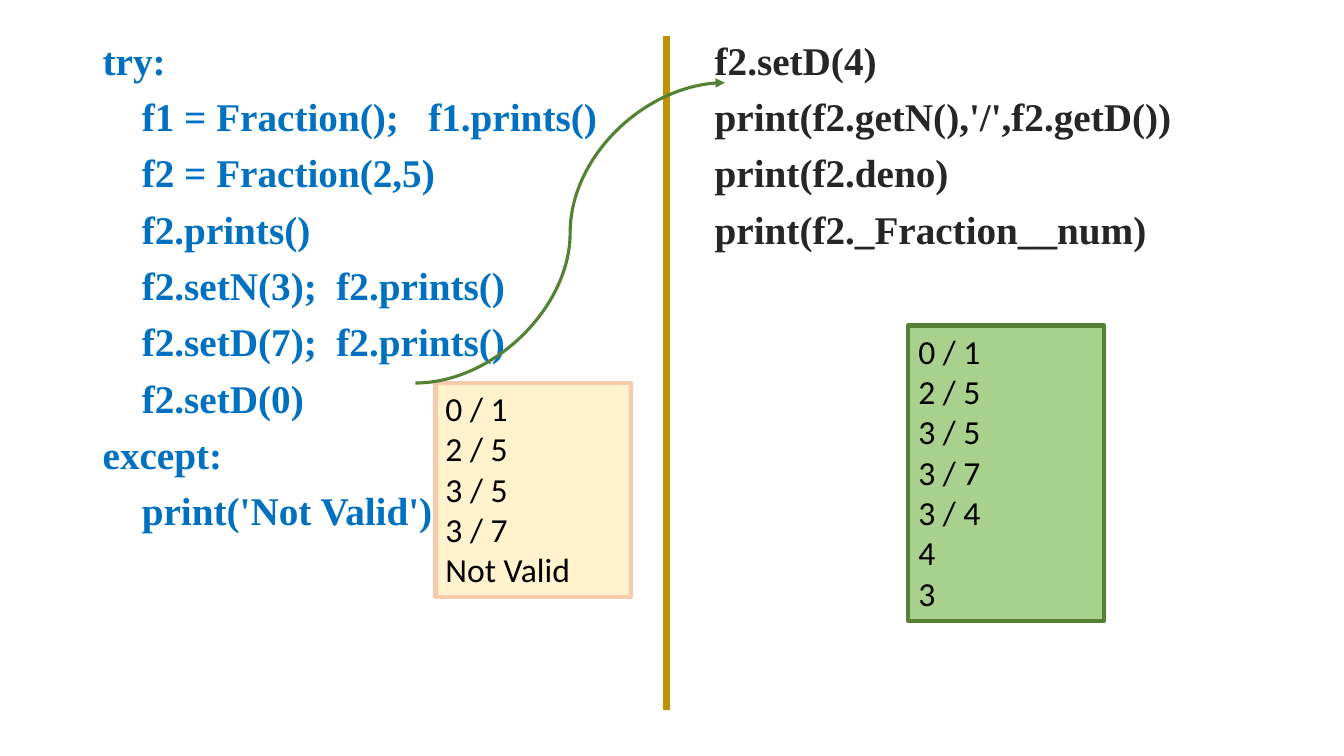
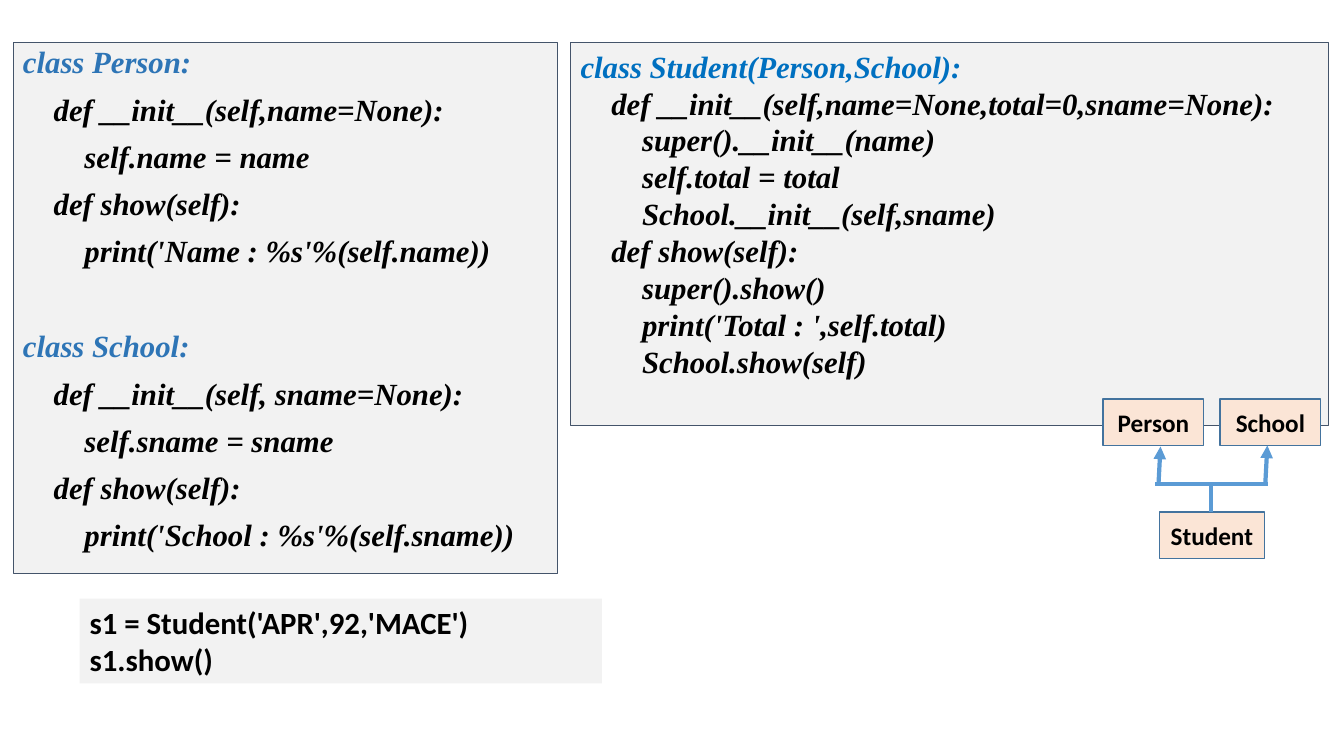
import pptx
import pptx.util
import pptx.dml.color
import pptx.enum.shapes
import pptx.enum.text
import pptx.oxml.ns
import lxml.etree

PX = 9144  # 100 px to the inch
SERIF, SANS = "Times New Roman", "Calibri"
HUES = {
    "blue": "0070C0", "steel": "2E75B6", "black": "000000", "dark": "262626",
    "cream": "FFF2CC", "peach": "F8CBAD", "gold": "BF9000", "green": "548235",
    "leaf": "A9D18E", "pale": "F2F2F2", "slate": "44546A", "skin": "FBE5D6",
    "navy": "43739E", "sky": "5B9BD5",
}
KINDS = pptx.enum.shapes.MSO_CONNECTOR
ALIGN = pptx.enum.text.PP_ALIGN
ANCHOR = pptx.enum.text.MSO_ANCHOR

TRY = """try:
    f1 = Fraction();   f1.prints()
    f2 = Fraction(2,5)
    f2.prints()
    f2.setN(3);  f2.prints()
    f2.setD(7);  f2.prints()
    f2.setD(0)
except:
    print('Not Valid')"""
CALLS = """f2.setD(4)
print(f2.getN(),'/',f2.getD())
print(f2.deno)
print(f2._Fraction__num)"""
FIRST = "0 / 1\n2 / 5\n3 / 5\n3 / 7\nNot Valid"
SECOND = "0 / 1\n2 / 5\n3 / 5\n3 / 7\n3 / 4\n4\n3"
BASES = """class Person:
    def __init__(self,name=None):
        self.name = name
    def show(self):
        print('Name : %s'%(self.name))
class School:
    def __init__(self, sname=None):
        self.sname = sname
    def show(self):
        print('School : %s'%(self.sname))"""
CHILD = """class Student(Person,School):
    def __init__(self,name=None,total=0,sname=None):
        super().__init__(name)
        self.total = total
        School.__init__(self,sname)
    def show(self):
        super().show()
        print('Total : ',self.total)
        School.show(self)"""
USE = "s1 = Student('APR',92,'MACE')\ns1.show()"


def tint(name):
    return pptx.dml.color.RGBColor.from_string(HUES[name])


def write(shape, text, size=22, face=SANS, hue="black", head=None, bold=False,
          slant=False, lead=1.0, gap=0, part=0, align=ALIGN.LEFT,
          anchor=ANCHOR.TOP, wrap=True):
    """Fill a shape; head colours class lines, part is the space above them."""
    frame = shape.text_frame
    frame.word_wrap = wrap
    frame.vertical_anchor = anchor
    for i, line in enumerate(text.split("\n")):
        para = frame.paragraphs[0] if i == 0 else frame.add_paragraph()
        top = head is not None and line.startswith("class ")
        para.alignment = align
        para.line_spacing = lead
        para.space_before = pptx.util.Pt(0 if i == 0 else part if top else gap)
        run = para.add_run()
        run.text = line
        font = run.font
        font.name, font.size = face, pptx.util.Pt(size)
        font.bold, font.italic = bold, slant
        font.color.rgb = tint(head if top else hue)


def box(slide, area, text, fill=None, line=None, width=1, **form):
    """Place a text box, or a rectangle when it has a fill."""
    place = [n * PX for n in area]
    if fill:
        rect = pptx.enum.shapes.MSO_SHAPE.RECTANGLE
        shape = slide.shapes.add_shape(rect, *place)
        shape.shadow.inherit = False
        shape.fill.solid()
        shape.fill.fore_color.rgb = tint(fill)
        if line:
            shape.line.color.rgb = tint(line)
            shape.line.width = pptx.util.Pt(width)
        else:
            shape.line.fill.background()
    else:
        shape = slide.shapes.add_textbox(*place)
    write(shape, text, **form)


def link(slide, start, end, hue, width, arrow=False, kind=KINDS.STRAIGHT):
    wire = slide.shapes.add_connector(kind, *[n * PX for n in start + end])
    wire.line.color.rgb = tint(hue)
    wire.line.width = pptx.util.Pt(width)
    name = pptx.oxml.ns.qn
    props = wire.line._get_or_add_ln().getparent()
    if arrow:
        tail = lxml.etree.SubElement(props.find(name("a:ln")), name("a:tailEnd"))
        tail.set("type", "triangle")
    lxml.etree.SubElement(props, name("a:effectLst"))


def tree(slide, x, y):
    """Class diagram with its top left corner at x, y."""
    nodes = [("Person", 0, 0, 100), ("School", 116, 0, 100),
             ("Student", 56, 112, 104)]
    for text, dx, dy, wide in nodes:
        box(slide, (x + dx, y + dy, wide, 46), text, "skin", "navy", size=18,
            bold=True, align=ALIGN.CENTER, anchor=ANCHOR.MIDDLE, wrap=False)
    wires = [(55, 85, 57, 47, True), (161, 83, 163, 46, True),
             (52, 84, 164, 84, False), (107, 84, 107, 112, False)]
    for ax, ay, bx, by, arrow in wires:
        link(slide, (x + ax, y + ay), (x + bx, y + by), "sky", 3, arrow)


def errors(slide, x, y):
    """Two columns of code with their output."""
    code = dict(size=28, face=SERIF, bold=True, lead=0.9, gap=10)
    box(slide, (x, y, 511, 688), TRY, hue="blue", **code)
    box(slide, (x + 607, y, 577, 688), CALLS, hue="dark", **code)
    box(slide, (x + 340, y + 344, 194, 212), FIRST, "cream", "peach", 3, size=24)
    link(slide, (x + 569, y), (x + 569, y + 668), "gold", 4.5)
    link(slide, (x + 320, y + 344), (x + 627, y + 46), "green", 2.25, True,
         KINDS.CURVE)
    box(slide, (x + 809, y + 287, 194, 293), SECOND, "leaf", "green", 3, size=24)


def classes(slide, x, y):
    """Class code, its use and the diagram."""
    code = dict(fill="pale", line="slate", width=0.75, face=SERIF, bold=True,
                slant=True)
    box(slide, (x, y, 540, 527), BASES, head="steel", lead=0.9, gap=10, part=44,
        **code)
    box(slide, (x + 553, y, 752, 380), CHILD, head="blue", **code)
    box(slide, (x + 66, y + 552, 518, 84), USE, "pale", bold=True)
    tree(slide, x + 1081, y + 354)


def main():
    deck = pptx.Presentation()
    deck.slide_width, deck.slide_height = 1333 * PX, 750 * PX
    for draw, x, y in [(errors, 92, 36), (classes, 13, 42)]:
        draw(deck.slides.add_slide(deck.slide_layouts[6]), x, y)
    deck.save("out.pptx")


if __name__ == "__main__":
    main()
